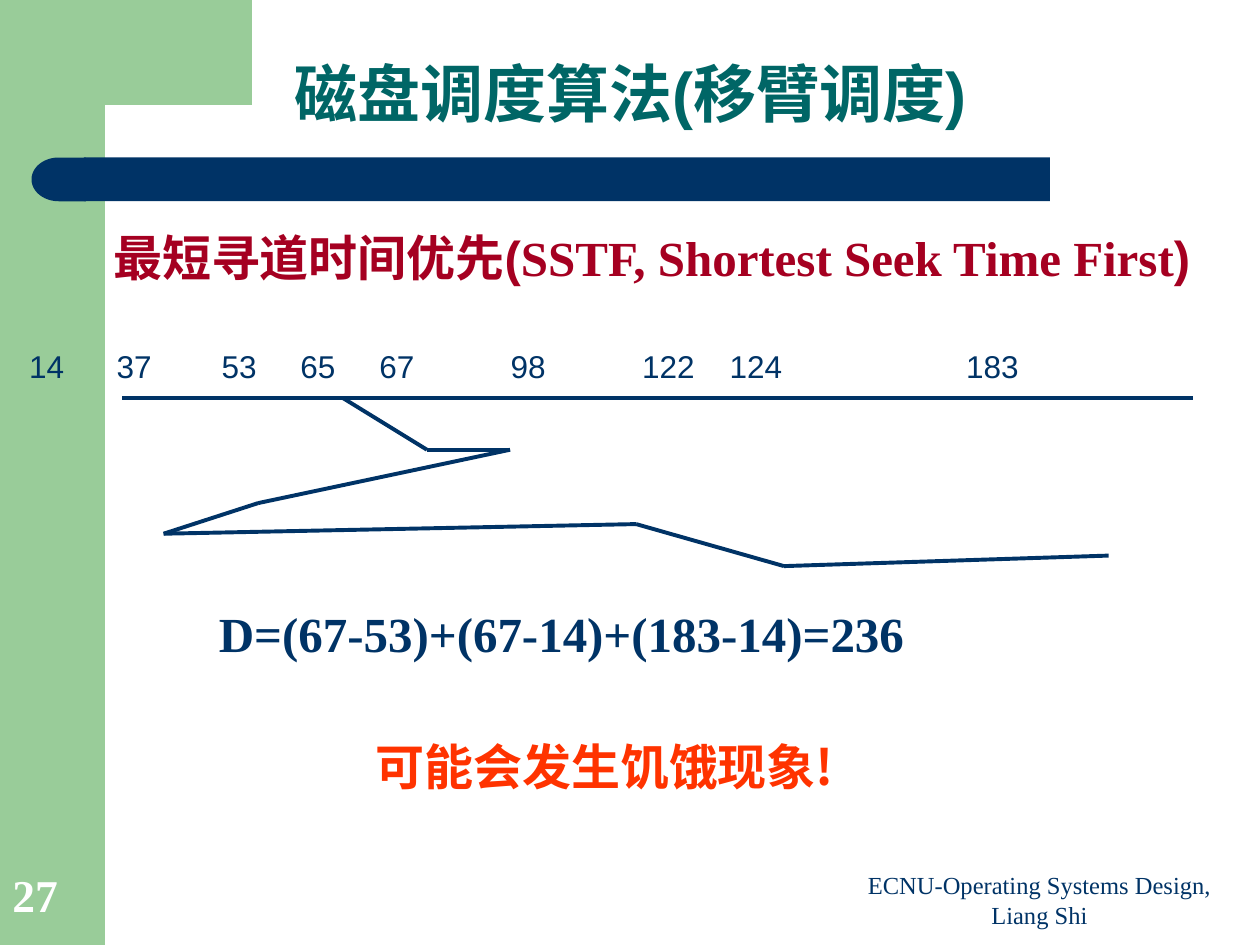
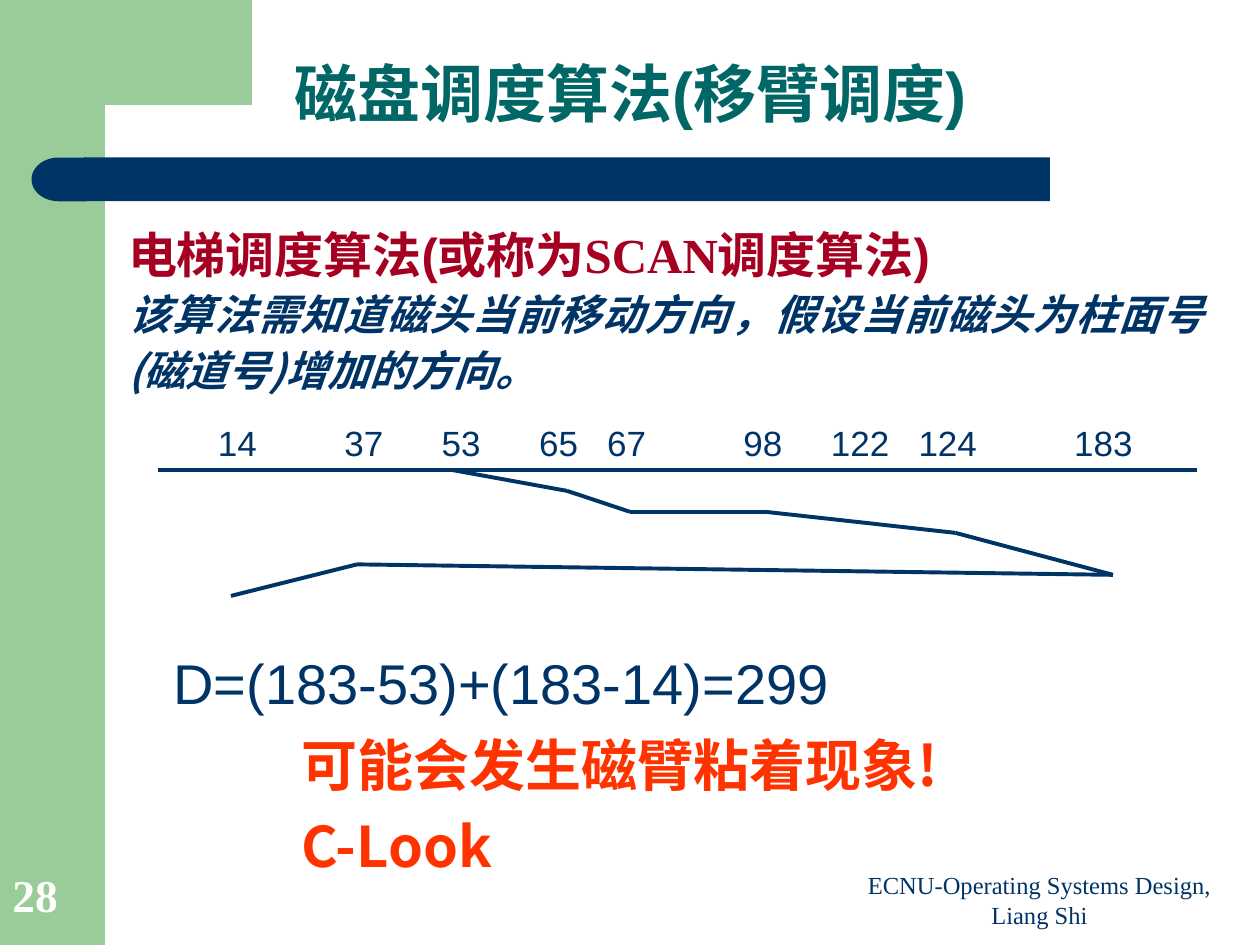
from dataclasses import dataclass
from itertools import pairwise

from lxml import etree
from pptx import Presentation
from pptx.dml.color import RGBColor
from pptx.enum.shapes import MSO_CONNECTOR, MSO_SHAPE
from pptx.enum.text import MSO_ANCHOR, MSO_AUTO_SIZE, PP_ALIGN
from pptx.oxml.ns import qn
from pptx.util import Pt

RECT, DELAY = MSO_SHAPE.RECTANGLE, MSO_SHAPE.FLOWCHART_DELAY
LINE = MSO_CONNECTOR.STRAIGHT
LEFT, CENTER, JUSTIFY = PP_ALIGN.LEFT, PP_ALIGN.CENTER, PP_ALIGN.JUSTIFY
TOP, BOTTOM = MSO_ANCHOR.TOP, MSO_ANCHOR.BOTTOM


@dataclass(frozen=True)
class Theme:
    green: str = "99CC99"
    navy: str = "003366"
    teal: str = "006666"
    wine: str = "A50021"
    red: str = "FF3300"
    white: str = "FFFFFF"
    sans: str = "Arial"
    serif: str = "Times New Roman"
    cjk: str = "Noto Sans CJK SC"
    title: int = 36
    big: int = 32
    head: int = 28
    page: int = 26
    note: int = 24
    foot: int = 14
    stroke: float = 2.25
    space: float = 0.278  # width of a blank, as a share of the type size


T = Theme()


def run(text, size, font=T.sans, color=T.navy, bold=True, italic=False):
    return text, size, font, color, bold, italic


TITLE = "磁盘调度算法(移臂调度)"
FOOTER = "ECNU-Operating Systems Design, Liang Shi"
TRACKS = [14, 37, 53, 65, 67, 98, 122, 124, 183]
CORNER = [(144, 0), (144, 60), (60, 60), (55.5, 61), (51, 66), (49, 75),
          (48, 83.5), (48, 92), (36, 92), (36, 0)]

# Boxes are left, top, width, height; stops count blanks from the first label.
SLIDES = [
    dict(
        page=27,
        body=dict(box=(57.5, 126.5, 654, 42), paras=[[
            run("最短寻道时间优先(", T.head, color=T.wine),
            run("SSTF, Shortest Seek Time First", T.head, T.serif, T.wine),
            run(")", T.head, color=T.wine)]]),
        labels=dict(box=(9.5, 194.5, 710, 29), size=18,
                    stops=[10, 22, 31, 40, 55, 70, 80, 107]),
        axis=[(70, 227.5), (682, 227.5)],
        route=[(196, 227.5), (244, 257), (291.5, 257), (147.5, 287.5),
               (93.5, 305), (363.5, 299.5), (448, 323.5), (633.5, 317.5)],
        sum=dict(box=(118, 341.5, 497.5, 41), fill=T.white, paras=[[
            run("D=(67-53)+(67-14)+(183-14)=236", T.head, T.serif)]]),
        alert=dict(box=(207.5, 417.5, 310, 41), paras=[[
            run("可能会发生饥饿现象", T.head, color=T.red),
            run("!", T.head, T.cjk, T.red)]]),
    ),
    dict(
        page=28,
        body=dict(box=(66, 121.5, 629.5, 124.5), align=JUSTIFY, lead=1.1,
                  paras=[
            [run("电梯调度算法(或称为", T.head, color=T.wine),
             run("SCAN", T.head, T.serif, T.wine),
             run("调度算法)", T.head, color=T.wine)],
            [run("该算法需知道磁头当前移动方向，假设当前磁头为柱面号"
                 "(磁道号)增加的方向。", T.note, T.cjk, italic=True)]]),
        labels=dict(box=(117.5, 237.5, 560, 31), size=20,
                    stops=[13, 23, 33, 40, 54, 63, 72, 88]),
        axis=[(90, 268.5), (684, 268.5)],
        route=[(258, 268.5), (324, 280.5), (360, 292.5), (437.5, 292.5),
               (492, 298.5), (546, 304.5), (636, 328.5), (204, 322.5),
               (132, 340.5)],
        sum=dict(box=(92, 367, 520, 45.5), paras=[[
            run("D=(183-53)+(183-14)=299", T.big, bold=False)]]),
        alert=dict(box=(165, 414, 394, 92), gap=8, paras=[
            [run("可能会发生磁臂粘着现象!", T.big, T.cjk, T.red)],
            [run("C-Look", T.big, T.cjk, T.red)]]),
    ),
]


def rgb(code):
    return RGBColor.from_string(code)


def put(shape, box):
    shape.left, shape.top, shape.width, shape.height = map(Pt, box)


def write(shape, paras, align=LEFT, anchor=TOP, lead=1.0, gap=0):
    frame = shape.text_frame
    frame.word_wrap = True
    frame.auto_size = MSO_AUTO_SIZE.NONE
    frame.vertical_anchor = anchor
    for i, runs in enumerate(paras):
        para = frame.add_paragraph() if i else frame.paragraphs[0]
        para.alignment = align
        para.line_spacing = lead
        para.space_before = Pt(gap if i else 0)
        for text, size, face, color, bold, italic in runs:
            part = para.add_run()
            part.text = text
            font = part.font
            font.size, font.name = Pt(size), face
            font.bold, font.italic = bold, italic
            font.color.rgb = rgb(color)
            east = etree.SubElement(font._element, qn("a:ea"))
            east.set("typeface", T.cjk)


def add_text(slide, box, paras, fill=None, **style):
    shape = slide.shapes.add_textbox(*map(Pt, box))
    if fill:
        shape.fill.solid()
        shape.fill.fore_color.rgb = rgb(fill)
    write(shape, paras, **style)
    return shape


def paint(shape, color):
    shape.shadow.inherit = False
    shape.fill.solid()
    shape.fill.fore_color.rgb = rgb(color)
    shape.line.fill.background()


def add_block(slide, kind, box, color):
    shape = slide.shapes.add_shape(kind, *map(Pt, box))
    paint(shape, color)
    return shape


def add_frame(slide, page):
    """Draw the side band, corner, title bar, footer and page number."""
    add_block(slide, RECT, (0, 0, 60, 540), T.green)
    start, *rest = [(Pt(x), Pt(y)) for x, y in CORNER]
    build = slide.shapes.build_freeform(*start)
    build.add_line_segments(rest, close=True)
    paint(build.convert_to_shape(), T.green)
    add_block(slide, RECT, (48, 90, 552, 25), T.navy)
    add_block(slide, DELAY, (18, 90, 31, 25), T.navy).rotation = 180
    add_text(slide, (480, 497, 228, 37.5),
             [[run(FOOTER, T.foot, T.serif, bold=False)]],
             align=CENTER, anchor=BOTTOM)
    add_text(slide, (0, 492, 59, 38),
             [[run(str(page), T.page, T.serif, T.white)]], anchor=BOTTOM)


def add_path(slide, points):
    for (x1, y1), (x2, y2) in pairwise(points):
        line = slide.shapes.add_connector(LINE, Pt(x1), Pt(y1), Pt(x2), Pt(y2))
        line.line.color.rgb = rgb(T.navy)
        line.line.width = Pt(T.stroke)
        etree.SubElement(line.element.spPr, qn("a:effectLst"))


def add_labels(slide, box, size, stops):
    text = "\t".join(map(str, TRACKS))
    shape = add_text(slide, box, [[run(text, size, bold=False)]])
    props = shape.text_frame.paragraphs[0]._p.get_or_add_pPr()
    tabs = etree.SubElement(props, qn("a:tabLst"))
    for stop in stops:
        tab = etree.SubElement(tabs, qn("a:tab"))
        tab.set("pos", str(int(Pt(stop * size * T.space))))
        tab.set("algn", "l")


def fill_body(shape, box, **text):
    put(shape, box)
    write(shape, **text)
    for para in shape.text_frame.paragraphs:
        props = para._p.get_or_add_pPr()
        props.set("marL", "0")
        props.set("indent", "0")
        etree.SubElement(props, qn("a:buNone"))


def add_slide(deck, page, body, labels, axis, route, sum, alert):
    slide = deck.slides.add_slide(deck.slide_layouts[1])
    title, main = slide.placeholders
    add_frame(slide, page)
    for holder in (title, main):  # bring the text in front of the bands
        slide.shapes.element.append(holder.element)
    put(title, (0, 24.5, 720, 54))
    write(title, [[run(TITLE, T.title, color=T.teal)]],
          align=CENTER, anchor=BOTTOM, lead=0.9)
    fill_body(main, **body)
    add_text(slide, **sum)
    add_labels(slide, **labels)
    add_path(slide, axis)
    add_path(slide, route)
    add_text(slide, **alert)


def main():
    deck = Presentation()
    deck.slide_width, deck.slide_height = Pt(720), Pt(540)
    for data in SLIDES:
        add_slide(deck, **data)
    deck.save("out.pptx")


if __name__ == "__main__":
    main()
